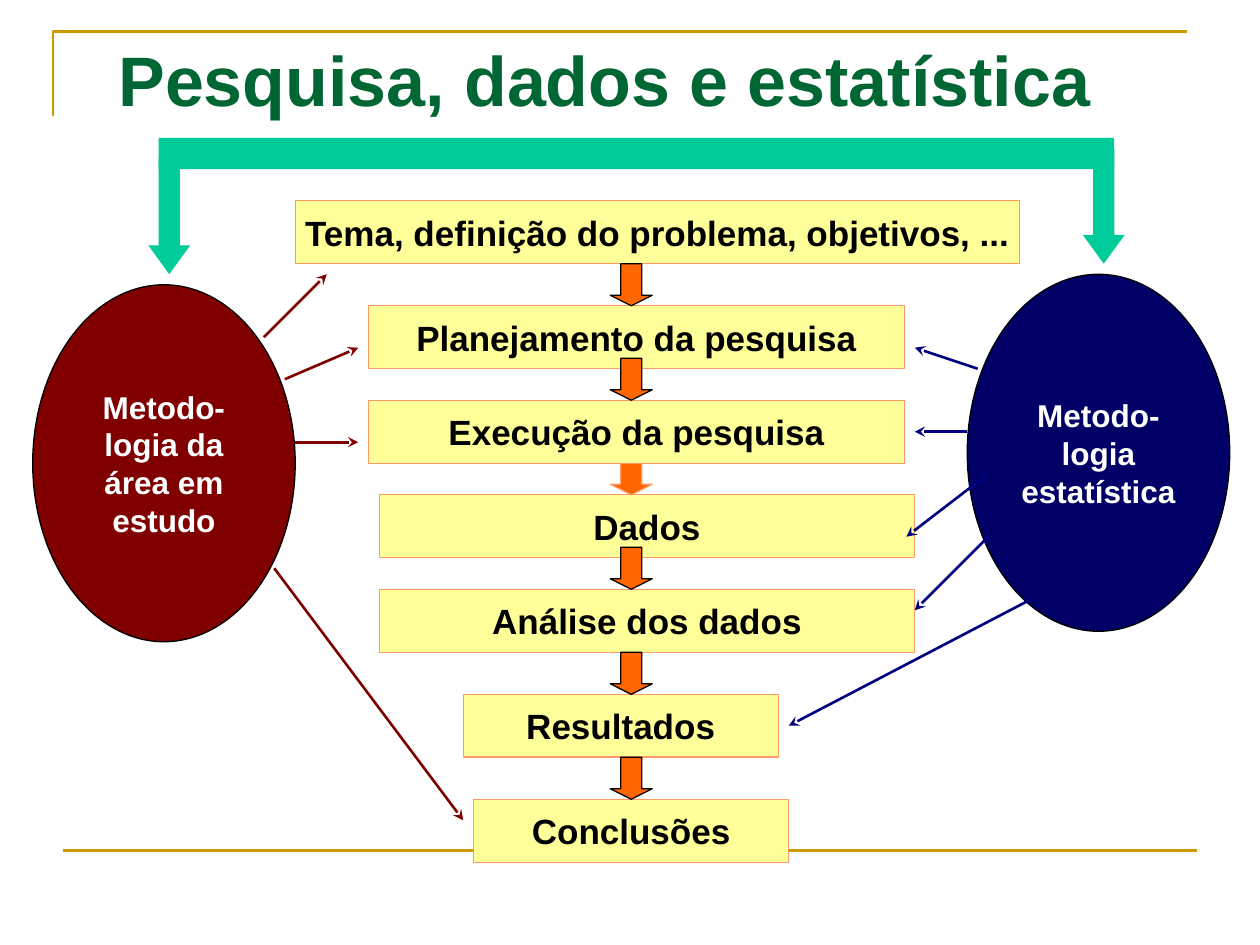
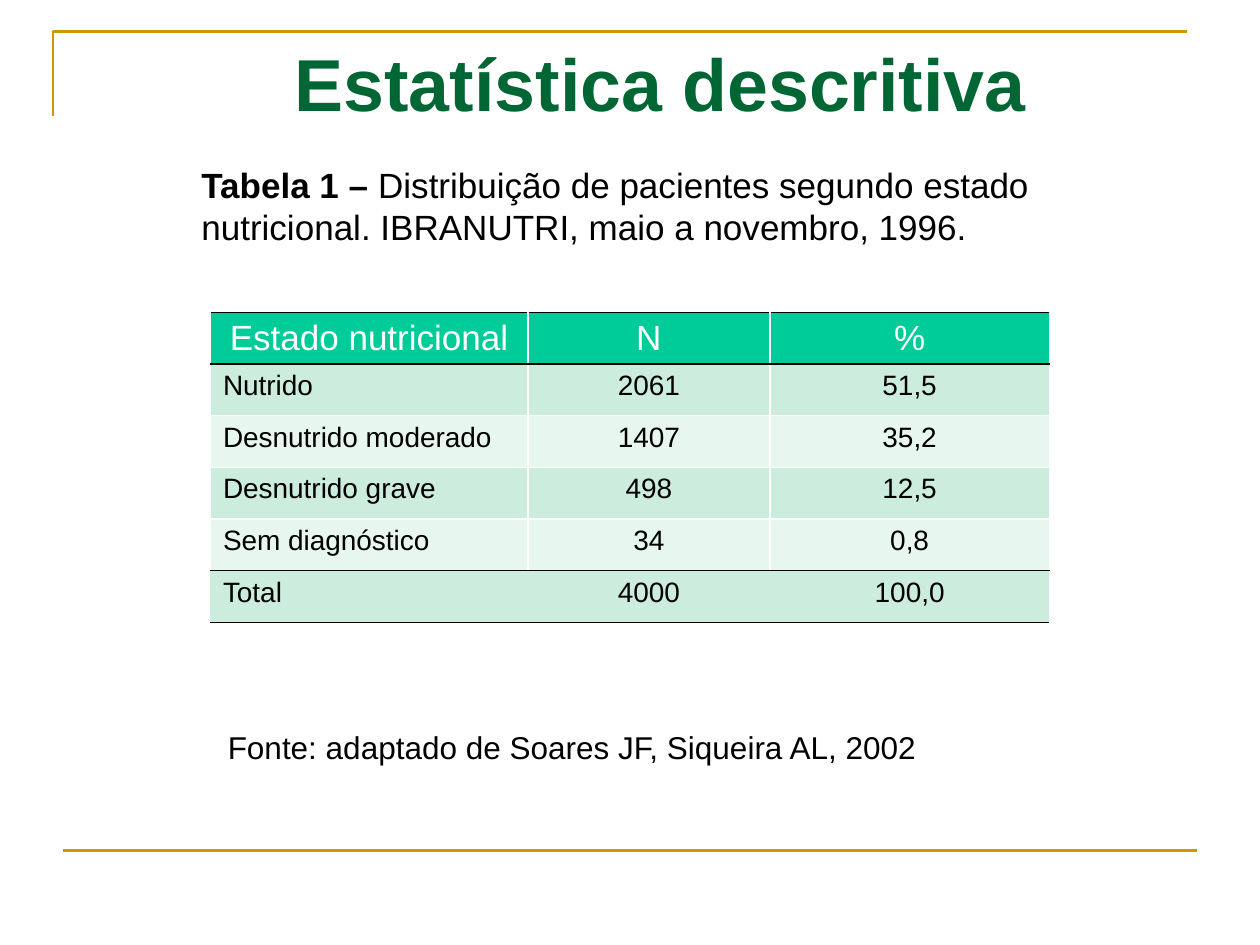
from lxml import etree
from pptx import Presentation
from pptx import util as u
from pptx.dml.color import RGBColor
from pptx.enum import shapes, text
from pptx.oxml import ns

FONT = "Arial"
BLACK = RGBColor(0x00, 0x00, 0x00)
WHITE = RGBColor(0xFF, 0xFF, 0xFF)
GOLD = RGBColor(0xCC, 0x99, 0x00)
TITLE_GREEN = RGBColor(0x00, 0x66, 0x33)
TEAL = RGBColor(0x00, 0xCC, 0x99)
BAND_DARK = RGBColor(0xCC, 0xEC, 0xDE)
BAND_LIGHT = RGBColor(0xE7, 0xF6, 0xEF)
YELLOW = RGBColor(0xFF, 0xFF, 0x99)
SALMON = RGBColor(0xFF, 0x99, 0x66)
ORANGE = RGBColor(0xFF, 0x66, 0x00)
NAVY = RGBColor(0x00, 0x00, 0x66)
NAVY_LINE = RGBColor(0x00, 0x00, 0x80)
MAROON = RGBColor(0x80, 0x00, 0x00)

CELL = 1 / 12  # the diagram grid has twelve cells to the inch
OFFSET = 0.01
CENTER = text.PP_ALIGN.CENTER
LEFT = text.PP_ALIGN.LEFT
MIDDLE = text.MSO_ANCHOR.MIDDLE
TOP = text.MSO_ANCHOR.TOP

# Steps as text, column, row, width and arrow outline; later ones lie on top
STEPS = [
    ("Tema, definição do problema, objetivos, ...", 28, 19, 69, None),
    ("Planejamento da pesquisa", 35, 29, 51, BLACK),
    ("Dados", 36, 47, 51, SALMON),
    ("Análise dos dados", 36, 56, 51, BLACK),
    ("Resultados", 44, 66, 30, BLACK),
    ("Conclusões", 45, 76, 30, BLACK),
    ("Execução da pesquisa", 35, 38, 51, BLACK),
]
STATISTICS_LINKS = [(93, 35, 87, 33), (92, 41, 87, 41), (94, 51, 87, 58),
                    (98, 57, 75, 69), (94, 45, 86.2, 51)]
AREA_LINKS = [(25, 32, 31, 26), (27, 36, 34, 33), (28, 42, 34, 42),
              (26, 54, 44, 78)]

TABLE_ROWS = [
    ("Estado nutricional", "N", "%"),
    ("Nutrido", "2061", "51,5"),
    ("Desnutrido moderado", "1407", "35,2"),
    ("Desnutrido grave", "498", "12,5"),
    ("Sem diagnóstico", "34", "0,8"),
    ("Total", "4000", "100,0"),
]
COLUMN_WIDTHS = (2.52, 1.92, 2.22)
ROW_HEIGHT = 0.41


def inches(*lengths):
    return [u.Inches(length) for length in lengths]


def grid_point(column, row):
    return inches(column * CELL + OFFSET, row * CELL + OFFSET)


def grid_box(column, row, width, height):
    return grid_point(column, row) + inches(width * CELL, height * CELL)


def write_paragraph(paragraph, runs, size, color, align=LEFT):
    """Fill a paragraph with (words, bold) runs."""
    paragraph.alignment = align
    for words, bold in runs:
        run = paragraph.add_run()
        run.text = words
        style = {"name": FONT, "size": u.Pt(size), "bold": bold}
        for name, value in style.items():
            setattr(run.font, name, value)
        run.font.color.rgb = color


def set_line(line, color, width):
    line.color.rgb = color
    line.width = u.Pt(width)


def add_frame(slide):
    """Draw the gold corner and the gold footer rule."""
    points = [inches(*point) for point in ((0.42, 0.92), (0.42, 0.25), (9.42, 0.25))]
    builder = slide.shapes.build_freeform(*points[0])
    builder.add_line_segments(points[1:], close=False)
    corner = builder.convert_to_shape()
    corner.shadow.inherit = False
    corner.fill.background()
    set_line(corner.line, GOLD, 1.5)
    add_line(slide, inches(0.5, 6.75), inches(9.5, 6.75), GOLD)


def add_titled_slide(presentation, words, box, size, align):
    slide = presentation.slides.add_slide(presentation.slide_layouts[5])
    add_frame(slide)
    title = slide.shapes.title
    title.left, title.top, title.width, title.height = inches(*box)
    frame = title.text_frame
    frame.vertical_anchor = MIDDLE
    frame.auto_size = text.MSO_AUTO_SIZE.NONE
    write_paragraph(frame.paragraphs[0], [(words, True)], size, TITLE_GREEN, align)
    return slide


def add_line(slide, start, end, color, arrow=False):
    connector = slide.shapes.add_connector(shapes.MSO_CONNECTOR.STRAIGHT, *start, *end)
    set_line(connector.line, color, 1.5)
    properties = connector.element.spPr
    if arrow:
        outline = properties.find(ns.qn("a:ln"))
        etree.SubElement(outline, ns.qn("a:tailEnd"), type="stealth")
    etree.SubElement(properties, ns.qn("a:effectLst"))


def add_block(slide, kind, box, fill, outline=None, lines=(), size=20, color=BLACK):
    """Add a preset shape on the grid, with one bold paragraph per line."""
    shape = slide.shapes.add_shape(kind, *grid_box(*box))
    shape.shadow.inherit = False
    shape.fill.solid()
    shape.fill.fore_color.rgb = fill
    if outline is None:
        shape.line.fill.background()
    else:
        set_line(shape.line, outline, 0.75)
    frame = shape.text_frame
    frame.word_wrap = False
    frame.vertical_anchor = MIDDLE
    for index, words in enumerate(lines):
        paragraph = frame.add_paragraph() if index else frame.paragraphs[0]
        write_paragraph(paragraph, [(words, True)], size, color, CENTER)
    return shape


def add_down_arrow(slide, box, fill, outline, head):
    arrow = add_block(slide, shapes.MSO_SHAPE.DOWN_ARROW, box, fill, outline)
    arrow.adjustments[0] = 0.5
    arrow.adjustments[1] = head


def add_step(slide, words, column, row, width, arrow_outline):
    """Add a step box and, where it has one, the arrow leading to it."""
    add_block(slide, shapes.MSO_SHAPE.RECTANGLE, (column, row, width, 6),
              YELLOW, SALMON, [words])
    if arrow_outline is not None:
        add_down_arrow(slide, (58, row - 4, 4, 4), ORANGE, arrow_outline, 0.25)


def add_method(slide, column, row, fill, lines):
    add_block(slide, shapes.MSO_SHAPE.OVAL, (column, row, 25, 34), fill, BLACK,
              lines, 18, WHITE)


def add_links(slide, links, color):
    for x1, y1, x2, y2 in links:
        add_line(slide, grid_point(x1, y1), grid_point(x2, y2), color, arrow=True)


def add_bracket(slide):
    for column, row in ((14, 15), (103, 14)):
        add_down_arrow(slide, (column, row, 4, 11), TEAL, None, 0.688)
    add_block(slide, shapes.MSO_SHAPE.RECTANGLE, (15, 13, 91, 3), TEAL)


def add_text(slide, box, runs, size):
    frame = slide.shapes.add_textbox(*inches(*box)).text_frame
    frame.word_wrap = True
    write_paragraph(frame.paragraphs[0], runs, size, BLACK)


def set_border(cell, side, color):
    """Draw one cell border (L, R, T or B); a color of None hides it."""
    properties = cell._tc.get_or_add_tcPr()
    line = etree.SubElement(properties, ns.qn(f"a:ln{side}"), w=str(u.Pt(1)))
    if color is None:
        etree.SubElement(line, ns.qn("a:noFill"))
    else:
        fill = etree.SubElement(line, ns.qn("a:solidFill"))
        etree.SubElement(fill, ns.qn("a:srgbClr"), val=str(color))


def format_cell(cell, row, column, words):
    last = len(TABLE_ROWS) - 1
    header = row == 0
    side_color = None if row == last else WHITE
    borders = {
        "L": side_color,
        "R": side_color,
        "T": BLACK if row in (0, 1, last) else WHITE,
        "B": BLACK if row in (0, last - 1, last) else WHITE,
    }
    for side, color in borders.items():
        set_border(cell, side, color)
    cell.fill.solid()
    band = BAND_DARK if row % 2 else BAND_LIGHT
    cell.fill.fore_color.rgb = TEAL if header else band
    cell.vertical_anchor = MIDDLE if header else TOP
    if header:
        cell.margin_top = cell.margin_bottom = u.Inches(0.04)
    write_paragraph(cell.text_frame.paragraphs[0], [(words, False)],
                    20 if header else 16, WHITE if header else BLACK,
                    CENTER if header or column else LEFT)


def add_nutrition_table(slide):
    count = len(TABLE_ROWS)
    box = inches(1.67, 2.48, sum(COLUMN_WIDTHS), count * ROW_HEIGHT)
    table = slide.shapes.add_table(count, len(COLUMN_WIDTHS), *box).table
    table.first_row = table.horz_banding = False
    for column, width in zip(table.columns, COLUMN_WIDTHS):
        column.width = u.Inches(width)
    for row, values in enumerate(TABLE_ROWS):
        for column, words in enumerate(values):
            format_cell(table.cell(row, column), row, column, words)


def build_research_slide(presentation):
    slide = add_titled_slide(presentation, "Pesquisa, dados e estatística",
                             (0.84, 0.23, 8.41, 0.79), 40, LEFT)
    add_method(slide, 92, 26, NAVY, ["Metodo-", "logia", "estatística"])
    for step in STEPS:
        add_step(slide, *step)
    add_method(slide, 3, 27, MAROON, ["Metodo-", "logia da", "área em", "estudo"])
    add_links(slide, AREA_LINKS, MAROON)
    add_bracket(slide)
    add_links(slide, STATISTICS_LINKS, NAVY_LINE)


def build_table_slide(presentation):
    slide = add_titled_slide(presentation, "Estatística descritiva",
                             (0.74, 0.18, 9, 0.95), 42, CENTER)
    add_nutrition_table(slide)
    caption = [("Tabela 1 – ", True),
               ("Distribuição de pacientes segundo estado nutricional. "
                "IBRANUTRI, maio a novembro, 1996.", False)]
    add_text(slide, (1.5, 1.25, 7.01, 0.77), caption, 20)
    source = [("Fonte: adaptado de Soares JF, Siqueira AL, 2002", False)]
    add_text(slide, (1.71, 5.73, 6.77, 0.4), source, 18)


def main():
    presentation = Presentation()
    presentation.slide_width, presentation.slide_height = inches(10, 7.5)
    build_research_slide(presentation)
    build_table_slide(presentation)
    presentation.save("out.pptx")


if __name__ == "__main__":
    main()
